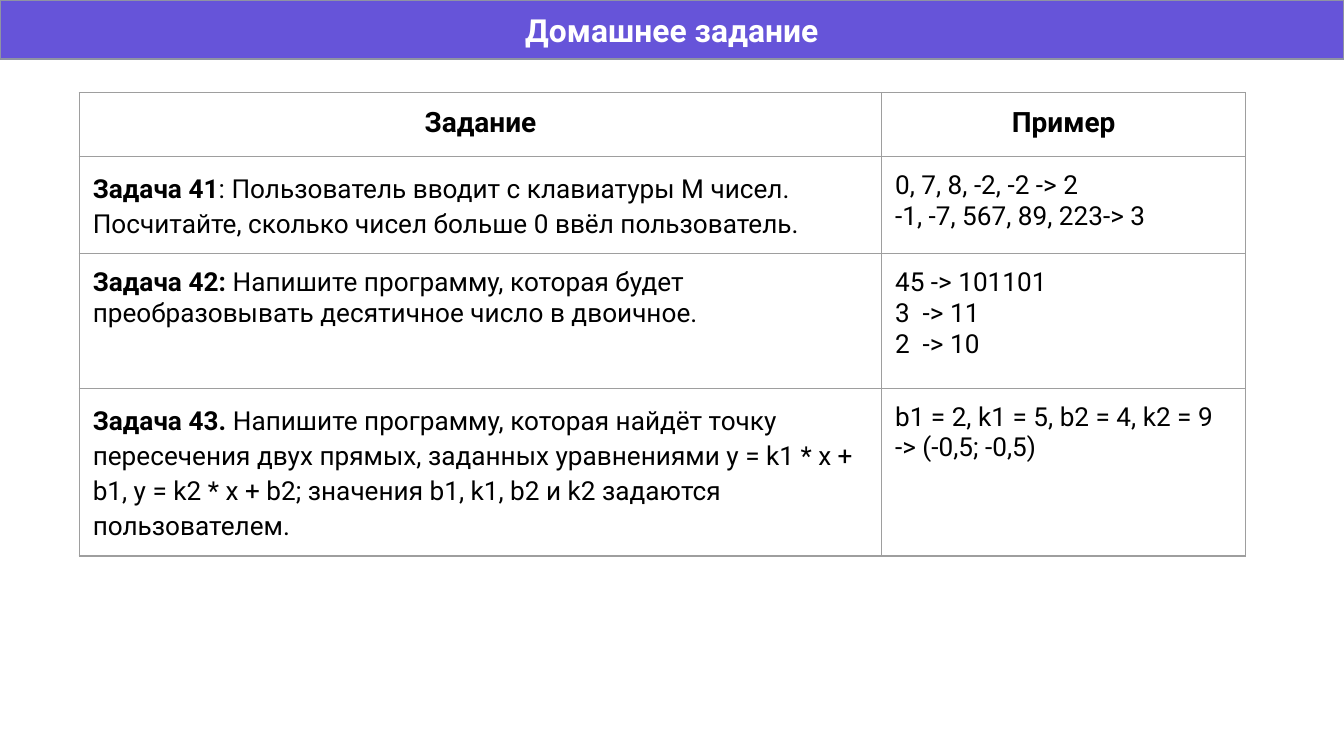
from lxml.etree import SubElement
from pptx import Presentation
from pptx.dml.color import RGBColor as Rgb
from pptx.enum.shapes import MSO_SHAPE as Preset
from pptx.enum.text import MSO_ANCHOR as Anchor, PP_ALIGN as Align
from pptx.oxml.ns import qn
from pptx.util import Inches, Pt

COLORS = {
    "banner": "6654D9",
    "banner_edge": "8F93A3",
    "grid": "9E9E9E",
    "title": "FFFFFF",
    "text": "000000",
}
FONT = "Roboto"
COLUMNS, ROWS = 100, 56.25  # slide grid of square units
UNIT = Inches(0.1)
LINE = Pt(0.75)
CENTERED = {"alignment": Align.CENTER}
LOOSE = {"line_spacing": 1.14, "space_before": Pt(12)}


def units(count):
    return round(count * UNIT)


class HomeworkSlide:
    def __init__(self):
        self.deck = Presentation()
        self.deck.slide_width = units(COLUMNS)
        self.deck.slide_height = units(ROWS)
        self.slide = self.deck.slides.add_slide(self.deck.slide_layouts[6])

    def paragraph(self, paragraph, runs, size, color="text", layout=None):
        """Write (text, bold) runs with the given paragraph format."""
        for name, value in (layout or {}).items():
            setattr(paragraph, name, value)
        for text, bold in runs:
            run = paragraph.add_run()
            run.text = text
            style = {"name": FONT, "size": Pt(size), "bold": bold}
            for name, value in style.items():
                setattr(run.font, name, value)
            run.font.color.rgb = Rgb.from_string(COLORS[color])

    def margins(self, holder):
        for side in ("left", "top", "right", "bottom"):
            setattr(holder, f"margin_{side}", UNIT)

    def banner(self, title, height):
        bar = self.slide.shapes.add_shape(
            Preset.RECTANGLE, 0, 0, units(COLUMNS), units(height))
        bar.shadow.inherit = False
        bar.fill.solid()
        bar.fill.fore_color.rgb = Rgb.from_string(COLORS["banner"])
        bar.line.color.rgb = Rgb.from_string(COLORS["banner_edge"])
        bar.line.width = LINE
        frame = bar.text_frame
        frame.word_wrap = True
        frame.vertical_anchor = Anchor.MIDDLE
        self.margins(frame)
        self.paragraph(frame.paragraphs[0], [(title, True)], 17, "title", CENTERED)

    def borders(self, cell):
        properties = cell._tc.get_or_add_tcPr()
        for side in ("lnL", "lnR", "lnT", "lnB"):
            line = SubElement(properties, qn(f"a:{side}"), w=str(LINE))
            fill = SubElement(line, qn("a:solidFill"))
            SubElement(fill, qn("a:srgbClr"), val=COLORS["grid"])

    def cell(self, cell, paragraphs, size, layout):
        self.margins(cell)
        self.borders(cell)
        cell.fill.background()
        frame = cell.text_frame
        for index, runs in enumerate(paragraphs):
            target = frame.add_paragraph() if index else frame.paragraphs[0]
            self.paragraph(target, runs, size, layout=layout)

    def task_table(self, left, top, widths, heights, header, tasks):
        holder = self.slide.shapes.add_table(
            len(heights), len(widths), units(left), units(top),
            units(sum(widths)), units(sum(heights)))
        table = holder.table
        table.first_row = table.horz_banding = False
        for column, width in zip(table.columns, widths):
            column.width = units(width)
        for row, height in zip(table.rows, heights):
            row.height = units(height)
        for column, heading in enumerate(header):
            self.cell(table.cell(0, column), [[(heading, True)]], 15, CENTERED)
        for row, (label, task, examples, layout) in enumerate(tasks, 1):
            self.cell(table.cell(row, 0), [[(label, True), (task, False)]], 14, layout)
            lines = [[(example, False)] for example in examples]
            self.cell(table.cell(row, 1), lines, 14, None)


TASKS = [
    ("Задача 41",
     ": Пользователь вводит с клавиатуры M чисел. "
     "Посчитайте, сколько чисел больше 0 ввёл пользователь.",
     ["0, 7, 8, -2, -2 -> 2", "-1, -7, 567, 89, 223-> 3"],
     {**LOOSE, "space_after": Pt(12)}),
    ("Задача 42: ",
     "Напишите программу, которая будет преобразовывать "
     "десятичное число в двоичное.",
     ["45 -> 101101", "3  -> 11", "2  -> 10"],
     None),
    ("Задача 43. ",
     "Напишите программу, которая найдёт точку пересечения двух прямых, "
     "заданных уравнениями y = k1 * x + b1, y = k2 * x + b2; "
     "значения b1, k1, b2 и k2 задаются пользователем.",
     ["b1 = 2, k1 = 5, b2 = 4, k2 = 9 -> (-0,5; -0,5)"],
     LOOSE),
]


def main():
    homework = HomeworkSlide()
    # Title bar
    homework.banner("Домашнее задание", height=4.4)
    # Tasks with examples; rows grow to fit their text
    homework.task_table(
        left=5.9, top=6.9, widths=[59.7, 27.1], heights=[4.75, 4.75, 10, 10],
        header=["Задание", "Пример"], tasks=TASKS)
    homework.deck.save("out.pptx")


if __name__ == "__main__":
    main()
